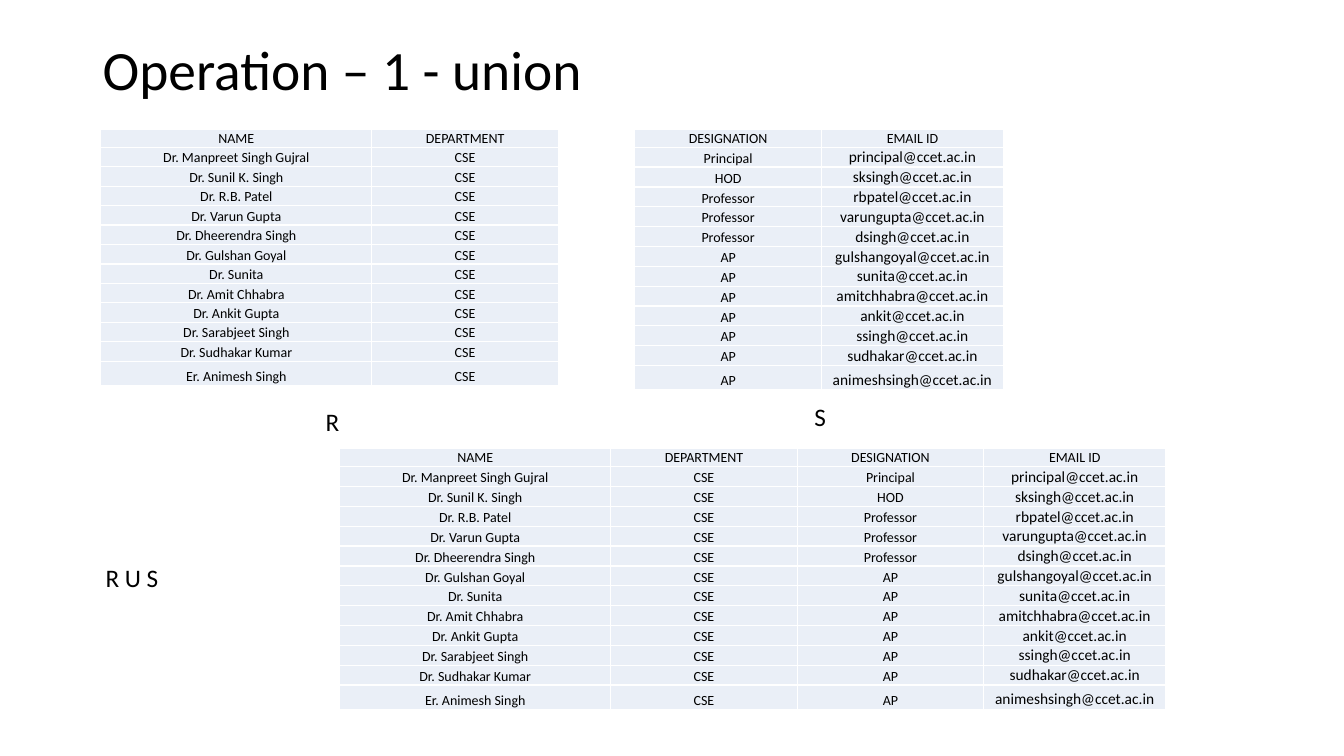
from dataclasses import dataclass

import pptx
import pptx.dml.color
import pptx.enum.text
import pptx.oxml
import pptx.oxml.ns
import pptx.util
from pptx.dml.color import RGBColor
from pptx.enum.text import MSO_ANCHOR, PP_ALIGN
from pptx.util import Cm

BLACK = RGBColor(0x00, 0x00, 0x00)
WHITE = RGBColor(0xFF, 0xFF, 0xFF)
PALE_BLUE = RGBColor(0xEA, 0xEF, 0xF7)
FONT = "Calibri"
HEADERS = ("NAME", "DEPARTMENT", "DESIGNATION", "EMAIL ID")
COL_WIDTHS = (6.83, 4.7, 4.7, 4.59)
EMAIL = 3
HEADER_HEIGHT, ROW_HEIGHT, LAST_HEIGHT = 0.46, 0.49, 0.61
STAFF = (
    ("Dr. Manpreet Singh Gujral", "Principal", "principal"),
    ("Dr. Sunil K. Singh", "HOD", "sksingh"),
    ("Dr. R.B. Patel", "Professor", "rbpatel"),
    ("Dr. Varun Gupta", "Professor", "varungupta"),
    ("Dr. Dheerendra Singh", "Professor", "dsingh"),
    ("Dr. Gulshan Goyal", "AP", "gulshangoyal"),
    ("Dr. Sunita", "AP", "sunita"),
    ("Dr. Amit Chhabra", "AP", "amitchhabra"),
    ("Dr. Ankit Gupta", "AP", "ankit"),
    ("Dr. Sarabjeet Singh", "AP", "ssingh"),
    ("Dr. Sudhakar Kumar", "AP", "sudhakar"),
    ("Er. Animesh Singh", "AP", "animeshsingh"),
)
ROWS = [HEADERS] + [
    (name, "CSE", designation, f"{user}@ccet.ac.in") for name, designation, user in STAFF
]


@dataclass
class Relation:
    left: float
    top: float
    columns: tuple[int, ...]


@dataclass
class Label:
    text: str
    left: float
    top: float
    width: float
    height: float = 1.02
    size: float = 18
    line_spacing: float = 1.0
    anchor: MSO_ANCHOR = MSO_ANCHOR.TOP


RELATIONS = (
    Relation(2.54, 3.25, (0, 1)),
    Relation(16.0, 3.25, (2, 3)),
    Relation(8.56, 11.3, (0, 1, 2, 3)),
)
LABELS = (
    Label("Operation – 1 - union", 2.34, 1.02, 24.49, 1.63, 39.6, 0.9, MSO_ANCHOR.MIDDLE),
    Label("R", 3.23 * 2.54, 10.11, 0.13),
    Label("S", 8.08 * 2.54, 9.98, 0.13),
    Label("R U S", 2.41, 14.05, 2.21),
)


def write(tf: pptx.text.text.TextFrame, text: str, *, size: float,
          align: PP_ALIGN = PP_ALIGN.LEFT, line_spacing: float = 1.0) -> None:
    p = tf.paragraphs[0]
    p.alignment = align
    p.line_spacing = line_spacing
    r = p.add_run()
    r.text = text
    r.font.name = FONT
    r.font.size = pptx.util.Pt(size)
    r.font.color.rgb = BLACK


def add_borders(cell: pptx.table._Cell) -> None:
    tc_pr = cell._tc.get_or_add_tcPr()
    for i, side in enumerate(("lnL", "lnR", "lnT", "lnB")):
        tc_pr.insert(i, pptx.oxml.parse_xml(
            f'<a:{side} {pptx.oxml.ns.nsdecls("a")} w="12700"><a:solidFill>'
            f'<a:srgbClr val="{WHITE}"/></a:solidFill></a:{side}>'))


def add_relation(s: pptx.slide.Slide, relation: Relation) -> None:
    heights = [HEADER_HEIGHT] + [ROW_HEIGHT] * (len(STAFF) - 1) + [LAST_HEIGHT]
    widths = [COL_WIDTHS[c] for c in relation.columns]
    table = s.shapes.add_table(
        len(ROWS), len(widths), Cm(relation.left), Cm(relation.top),
        Cm(sum(widths)), Cm(sum(heights))).table
    for column, width in zip(table.columns, widths):
        column.width = Cm(width)
    for i, (row, height) in enumerate(zip(ROWS, heights)):
        table.rows[i].height = Cm(height)
        for j, field in enumerate(relation.columns):
            cell = table.cell(i, j)
            cell.fill.solid()
            cell.fill.fore_color.rgb = PALE_BLUE
            cell.vertical_anchor = MSO_ANCHOR.BOTTOM
            cell.margin_left = cell.margin_right = cell.margin_top = Cm(0.02)
            cell.margin_bottom = 0
            add_borders(cell)
            write(cell.text_frame, row[field], align=PP_ALIGN.CENTER,
                  size=11 if i and field == EMAIL else 10)


def add_label(s: pptx.slide.Slide, label: Label) -> None:
    sp = s.shapes.add_textbox(
        Cm(label.left), Cm(label.top), Cm(label.width), Cm(label.height))
    tf = sp.text_frame
    tf.word_wrap = True
    tf.vertical_anchor = label.anchor
    write(tf, label.text, size=label.size, line_spacing=label.line_spacing)


def main() -> None:
    prs = pptx.Presentation()
    prs.slide_width, prs.slide_height = Cm(33.87), Cm(19.05)
    s = prs.slides.add_slide(prs.slide_layouts[6])
    for relation in RELATIONS:
        add_relation(s, relation)
    for label in LABELS:
        add_label(s, label)
    prs.save("out.pptx")


if __name__ == "__main__":
    main()
